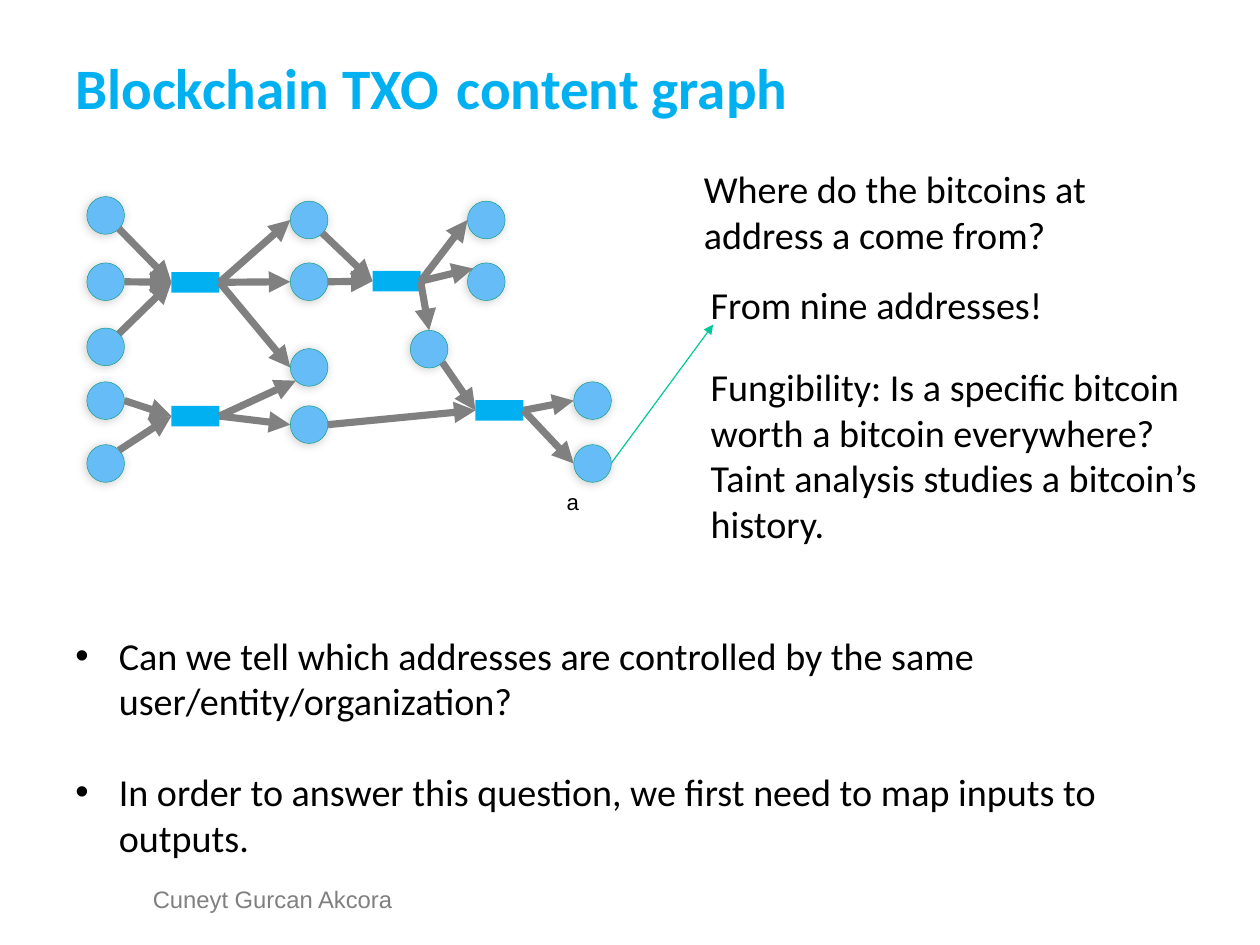
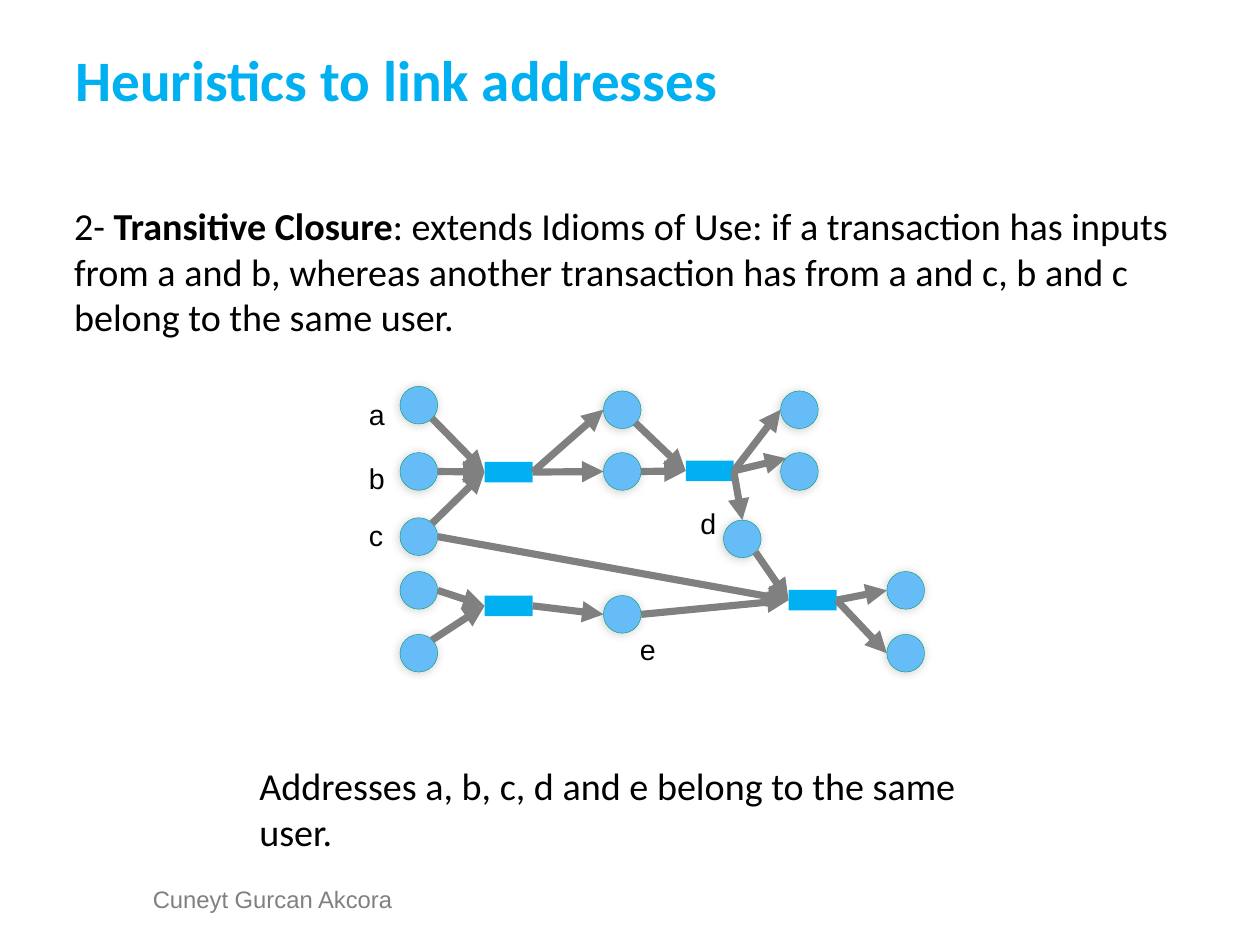
"""Build two slides on tracing bitcoins through a transaction graph."""
import lxml.etree
import pptx
import pptx.dml.color
import pptx.enum.shapes
import pptx.enum.text
import pptx.oxml.ns
import pptx.util

Inches, Pt = pptx.util.Inches, pptx.util.Pt
qn = pptx.oxml.ns.qn
RGB = pptx.dml.color.RGBColor.from_string
SHAPE = pptx.enum.shapes.MSO_SHAPE
ALIGN = pptx.enum.text.PP_ALIGN
ANCHOR = pptx.enum.text.MSO_ANCHOR

COLORS = {
    "title": "00B0F0",
    "text": "000000",
    "grey": "808080",
    "address": "66BCF6",
    "outline": "009771",
    "transaction": "00B0F0",
    "pointer": "00C896",
}


def add_text(s, text, x, y, w, h, size=24, font="Calibri", color="text", bold=False,
             ins=(0.1, 0.05), wrap=True, anchor=ANCHOR.TOP, align=ALIGN.LEFT,
             bullet=False, gap=0, spacing=1.0):
    """Add a text box; a paragraph is a string or a list of (text, size, bold) runs."""
    tf = s.shapes.add_textbox(Inches(x), Inches(y), Inches(w), Inches(h)).text_frame
    tf.word_wrap = wrap
    tf.vertical_anchor = anchor
    tf.margin_left = tf.margin_right = Inches(ins[0])
    tf.margin_top = tf.margin_bottom = Inches(ins[1])
    for i, para in enumerate(text):
        p = tf.add_paragraph() if i else tf.paragraphs[0]
        p.alignment = align
        p.line_spacing = spacing
        p.space_before = Pt(gap if i else 0)
        if bullet:
            pPr = p._p.get_or_add_pPr()
            pPr.set("marL", str(Inches(0.38)))
            pPr.set("indent", str(-Inches(0.38)))
            lxml.etree.SubElement(pPr, qn("a:buFont"), typeface="Arial")
            lxml.etree.SubElement(pPr, qn("a:buChar"), char="•")
        runs = [(para, size, bold)] if isinstance(para, str) else para
        for run_text, run_size, run_bold in runs:
            r = p.add_run()
            r.text = run_text
            r.font.name = font
            r.font.size = Pt(run_size)
            r.font.bold = run_bold
            r.font.color.rgb = RGB(COLORS[color])


def add_arrow(s, start, end, color="grey", width=4.5):
    """Draw a straight arrow between two points in inches."""
    c = s.shapes.add_connector(pptx.enum.shapes.MSO_CONNECTOR.STRAIGHT,
                               *[Inches(v) for v in (*start, *end)])
    c.line.color.rgb = RGB(COLORS[color])
    c.line.width = Pt(width)
    lxml.etree.SubElement(c.line._ln, qn("a:tailEnd"), type="triangle")
    lxml.etree.SubElement(c._element.spPr, qn("a:effectLst"))


NODE = 0.33
TX_W, TX_H = 0.42, 0.18
SITES = {"l": (0, 0.5), "r": (1, 0.5), "t": (0.5, 0),
         "tl": (0.15, 0.15), "tr": (0.85, 0.15), "bl": (0.15, 0.85), "br": (0.85, 0.85)}
ADDRESSES = {
    "in1": (0.76, 1.72), "in2": (0.76, 2.3), "in3": (0.76, 2.87),
    "in4": (0.76, 3.34), "in5": (0.76, 3.89),
    "mid1": (2.54, 1.76), "mid2": (2.54, 2.3), "mid3": (2.54, 3.05), "mid4": (2.54, 3.55),
    "out1": (4.09, 1.76), "out2": (4.09, 2.3), "out3": (3.59, 2.89),
    "end1": (5.02, 3.34), "end2": (5.02, 3.89),
}
TRANSACTIONS = {"tx1": (1.5, 2.38), "tx2": (1.5, 3.55), "tx3": (3.26, 2.37), "tx4": (4.16, 3.5)}
LINKS = [
    ("in1", "br", "tx1", "l"), ("in2", "r", "tx1", "l"), ("in3", "tr", "tx1", "l"),
    ("in4", "r", "tx2", "l"), ("in5", "tr", "tx2", "l"),
    ("tx1", "r", "mid1", "l"), ("tx1", "r", "mid2", "l"), ("tx1", "r", "mid3", "l"),
    ("tx2", "r", "mid3", "bl"), ("tx2", "r", "mid4", "l"),
    ("mid1", "br", "tx3", "l"), ("mid2", "r", "tx3", "l"), ("mid4", "r", "tx4", "l"),
    ("tx3", "r", "out1", "l"), ("tx3", "r", "out2", "tl"), ("tx3", "r", "out3", "t"),
    ("out3", "br", "tx4", "l"), ("tx4", "r", "end1", "l"), ("tx4", "r", "end2", "l"),
]
SLIDES = [
    {"title": [("Blockchain TXO", 36, True), (" ", 48.5, True), ("content graph", 36, True)],
     "origin": (0, 0), "hidden": None, "extra": []},
    {"title": "Heuristics to link addresses",
     "origin": (2.74, 1.66), "hidden": "mid3", "extra": [("in3", "r", "tx4", "l")]},
]

prs = pptx.Presentation()
prs.slide_width, prs.slide_height = Pt(793.75), Pt(595.25)

for page in SLIDES:
    s = prs.slides.add_slide(prs.slide_layouts[6])
    add_text(s, ["Cuneyt Gurcan Akcora"], 1.3, 7.75, 2.17, 0.37, size=15, font="Arial",
             color="grey", ins=(0, 0.01), align=ALIGN.CENTER, spacing=0.93)
    add_text(s, [page["title"]], 0.55, 0, 9.92, 1.38, size=36, color="title", bold=True,
             ins=(0.11, 0.05), anchor=ANCHOR.MIDDLE)

    dx, dy = page["origin"]
    boxes = {}
    for name, (x, y) in {**ADDRESSES, **TRANSACTIONS}.items():
        if name == page["hidden"]:
            continue
        is_address = name in ADDRESSES
        w, h = (NODE, NODE) if is_address else (TX_W, TX_H)
        boxes[name] = (x + dx, y + dy, w, h)
        sp = s.shapes.add_shape(SHAPE.OVAL if is_address else SHAPE.RECTANGLE,
                                *[Inches(v) for v in boxes[name]])
        sp.shadow.inherit = False
        sp.fill.solid()
        sp.fill.fore_color.rgb = RGB(COLORS["address" if is_address else "transaction"])
        if is_address:
            sp.line.color.rgb = RGB(COLORS["outline"])
            sp.line.width = Pt(0.25)
            effects = sp._element.spPr.find(qn("a:effectLst"))
            shadow = lxml.etree.SubElement(effects, qn("a:outerShdw"), blurRad=str(Pt(6)),
                                           dist=str(Pt(1)), dir=str(135 * 60000), rotWithShape="0")
            black = lxml.etree.SubElement(shadow, qn("a:srgbClr"), val=COLORS["text"])
            lxml.etree.SubElement(black, qn("a:alpha"), val="20000")
        else:
            sp.line.fill.background()

    for a, site_a, b, site_b in LINKS + page["extra"]:
        if page["hidden"] in (a, b):
            continue
        start, end = [(boxes[n][0] + SITES[k][0] * boxes[n][2],
                       boxes[n][1] + SITES[k][1] * boxes[n][3])
                      for n, k in ((a, site_a), (b, site_b))]
        add_arrow(s, start, end)

graph, heuristics = prs.slides

add_text(graph, ["Can we tell which addresses are controlled by the same user/entity/organization?",
                 "In order to answer this question, we first need to map inputs to outputs."],
         0.55, 5.47, 10, 1.4, ins=(0.11, 0.06), bullet=True, gap=28.5)
add_text(graph, ["Where do the bitcoins at address a come from?"], 6.06, 1.4, 4.62, 0.91)
add_text(graph, ["From nine addresses!"], 6.12, 2.41, 4.62, 0.5)
add_text(graph, ["Fungibility: Is a specific bitcoin worth a bitcoin everywhere? "
                 "Taint analysis studies a bitcoin’s history."], 6.12, 3.13, 4.51, 1.72)
add_text(graph, ["a"], 4.86, 4.22, 0.31, 0.34, size=14, font="Arial", wrap=False)
add_arrow(graph, (5.35, 4.05), (6.24, 2.84), color="pointer", width=0.75)

add_text(heuristics, [[("2- ", 24, False), ("Transitive Closure", 24, True),
                       (": extends Idioms of Use: if a transaction has inputs from a and b, "
                        "whereas another transaction has from a and c, b and c belong to the "
                        "same user.", 24, False)]], 0.55, 1.72, 9.92, 1.31)
add_text(heuristics, ["Addresses a, b, c, d and e belong to the same user."],
         2.16, 6.62, 6.7, 0.8, ins=(0.11, 0.05))
for label, x, y in [("a", 3.13, 3.42), ("b", 3.13, 3.98), ("c", 3.13, 4.48),
                    ("d", 6.03, 4.38), ("e", 5.5, 5.48)]:
    add_text(heuristics, [label], x, y, 0.34, 0.4, size=18, font="Arial", wrap=False)

prs.save("out.pptx")
